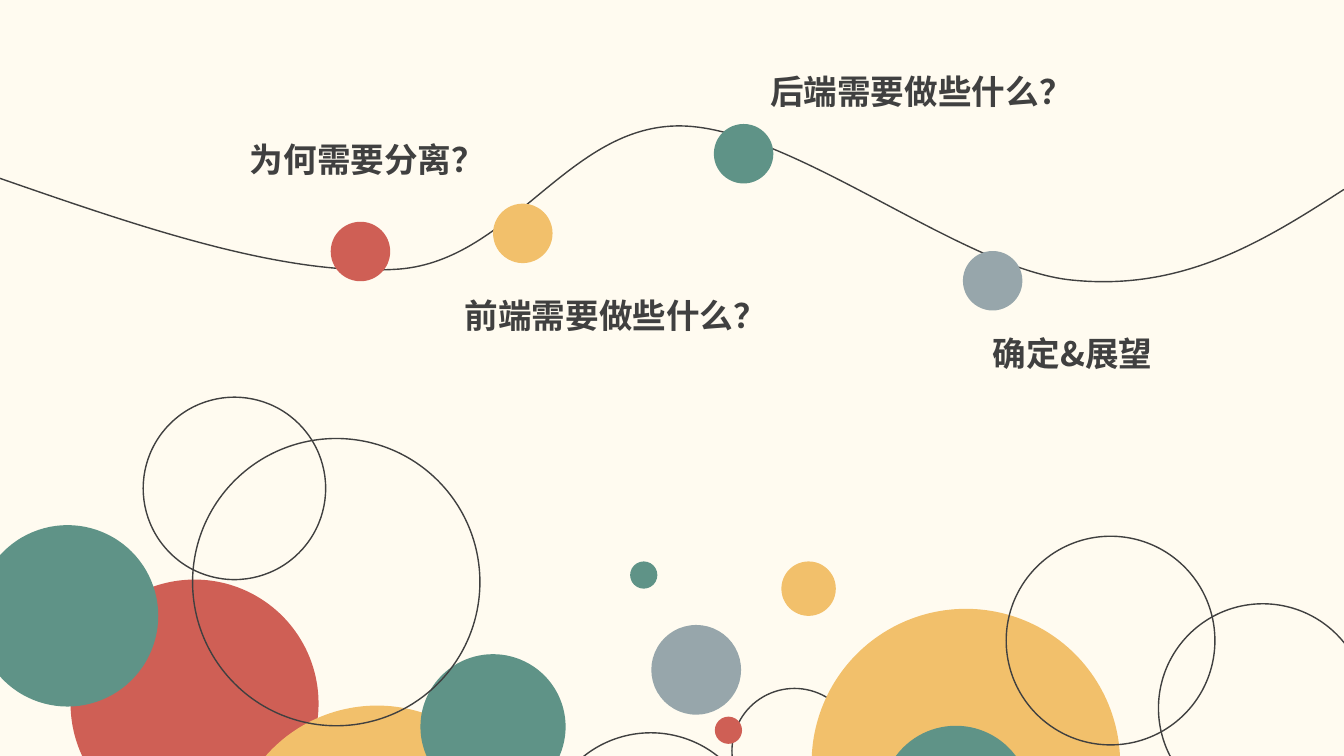
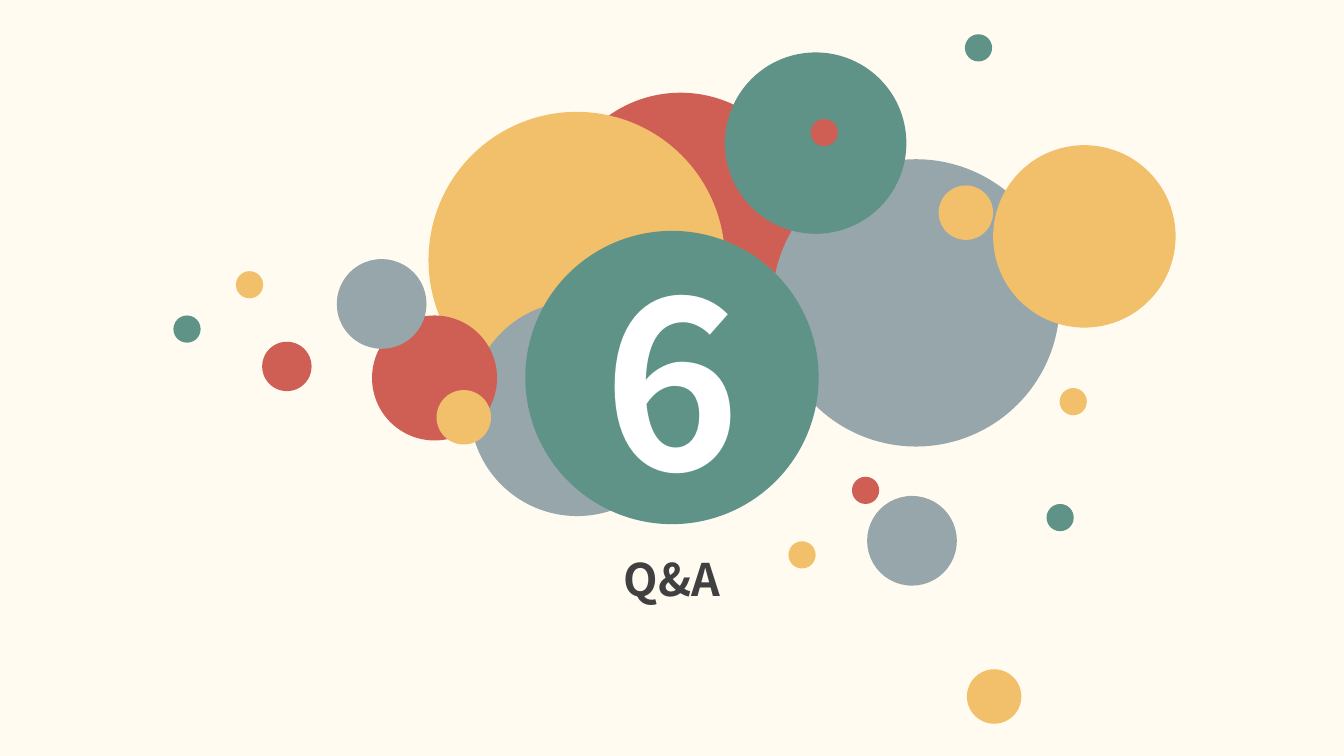
from lxml.etree import SubElement
from pptx import Presentation
from pptx.dml.color import RGBColor
from pptx.enum.shapes import MSO_SHAPE
from pptx.enum.text import MSO_ANCHOR, MSO_AUTO_SIZE, PP_ALIGN
from pptx.oxml.ns import qn
from pptx.util import Pt

PX = 9144  # 100 px to the inch
WIDE, HIGH = 1333, 750
FONT = "Noto Sans CJK SC"
CREAM, INK, WHITE = "FFFBF0", "404040", "FFFFFF"
RED, GOLD, TEAL, GREY = "CF5F55", "F2C06B", "5F9387", "97A6AB"

# Circles: left, top, diameter, fill (None means outline only)
HILLS = [
    (70, 181, 246, RED), (227, 306, 294, GOLD), (417, 255, 144, TEAL),
    (539, 333, 213, None), (191, 41, 285, None), (-23, 127, 180, TEAL),
    (726, 289, 124, None), (805, 210, 306, GOLD), (874, 326, 148, TEAL),
    (998, 138, 207, None), (1149, 205, 207, None), (646, 226, 89, GREY),
    (709, 317, 27, RED), (625, 163, 27, TEAL), (775, 163, 54, GOLD),
    (142, 0, 181, None),
]
CLOUD = [
    (380, 58, 246, RED), (253, 77, 294, GOLD), (294, 265, 213, GREY),
    (594, 124, 285, GREY), (547, 18, 180, TEAL), (197, 279, 124, RED),
    (688, 458, 89, GREY), (673, 439, 27, RED), (610, 503, 27, GOLD),
    (866, 466, 27, TEAL), (787, 630, 54, GOLD), (813, 110, 181, GOLD),
    (162, 223, 89, GREY), (88, 305, 49, RED), (62, 235, 27, GOLD),
    (0, 279, 27, TEAL), (261, 353, 54, GOLD), (632, 84, 27, RED),
    (879, 351, 27, GOLD), (785, 0, 27, TEAL), (759, 150, 54, GOLD),
]
# Start point, then two handles and an end point for each bend
WAVE = [
    (0, 112), (141, 161), (283, 210), (396, 202), (508, 193), (564, 58),
    (676, 60), (787, 62), (955, 203), (1064, 213), (1174, 224),
    (1254, 174), (1333, 123),
]
# Stops: dot left and top, fill, label left and top, label
STOPS = [
    (328, 155, RED, 238, 68, "为何需要分离？"),
    (489, 137, GOLD, 451, 223, "前端需要做些什么？"),
    (708, 58, TEAL, 754, 0, "后端需要做些什么？"),
    (955, 184, GREY, 975, 260, "确定&展望"),
]


def rgb(code):
    return RGBColor.from_string(code)


def style(item, form):
    for name, value in form.items():
        setattr(item, name, value)


def paint(shape, fill=None):
    """Fill the shape, or draw only its outline."""
    shape.shadow.inherit = False
    if fill:
        shape.fill.solid()
        shape.fill.fore_color.rgb = rgb(fill)
        shape.line.fill.background()
    else:
        shape.fill.background()
        shape.line.color.rgb = rgb(INK)
        shape.line.width = Pt(1)


def disc(slide, left, top, size, fill=None):
    shape = slide.shapes.add_shape(
        MSO_SHAPE.OVAL, left * PX, top * PX, size * PX, size * PX)
    paint(shape, fill)
    return shape


def write(frame, text, size, color=INK, align=PP_ALIGN.LEFT, **form):
    style(frame, {"word_wrap": True, **form})
    line = frame.paragraphs[0]
    line.alignment = align
    run = line.add_run()
    run.text = text
    style(run.font, {"size": Pt(size), "bold": True, "name": FONT})
    run.font.color.rgb = rgb(color)
    SubElement(run.font._element, qn("a:ea"), typeface=FONT)


def label(slide, left, top, width, high, text, size, align=PP_ALIGN.LEFT):
    box = slide.shapes.add_textbox(left * PX, top * PX, width * PX, high * PX)
    write(box.text_frame, text, size, align=align,
          auto_size=MSO_AUTO_SIZE.SHAPE_TO_FIT_TEXT)


def discs(slide, left, top, group):
    for x, y, size, fill in group:
        disc(slide, left + x, top + y, size, fill)


def curve(slide, left, top, points):
    """Draw a smooth line: each three points after the first make a bend."""
    spots = [(left + x, top + y) for x, y in points]
    pen = slide.shapes.build_freeform(*spots[0], scale=PX)
    pen.add_line_segments(spots[1:], close=False)
    shape = pen.convert_to_shape()
    paint(shape)
    steps = list(shape._element.iter(qn("a:lnTo")))
    for first in range(0, len(steps), 3):
        trio = steps[first:first + 3]
        bend = SubElement(trio[0].getparent(), qn("a:cubicBezTo"))
        for step in trio:
            bend.append(step[0])
            step.getparent().remove(step)


def road(slide, left, top):
    curve(slide, left, top, WAVE)
    for x, y, fill, _, _, _ in STOPS:
        disc(slide, left + x, top + y, 59, fill)
    for _, _, _, x, y, text in STOPS:
        label(slide, left + x, top + y, 311, 50, text, 24)


def agenda(slide):
    discs(slide, 0, 394, HILLS)
    road(slide, 0, 65)


def section(slide, number, title):
    discs(slide, 172, 34, CLOUD)
    size, width = 291, 603
    badge = disc(slide, (WIDE - size) // 2, 229, size, TEAL)
    write(badge.text_frame, number, 166, WHITE, PP_ALIGN.CENTER,
          vertical_anchor=MSO_ANCHOR.MIDDLE)
    label(slide, (WIDE - width) // 2, 542, width, 64, title, 32,
          PP_ALIGN.CENTER)


def main():
    deck = Presentation()
    style(deck, {"slide_width": WIDE * PX, "slide_height": HIGH * PX})
    back = deck.slide_master.background.fill
    back.solid()
    back.fore_color.rgb = rgb(CREAM)
    blank = deck.slide_layouts[6]
    agenda(deck.slides.add_slide(blank))
    section(deck.slides.add_slide(blank), "6", "Q&A")
    deck.save("out.pptx")


if __name__ == "__main__":
    main()
